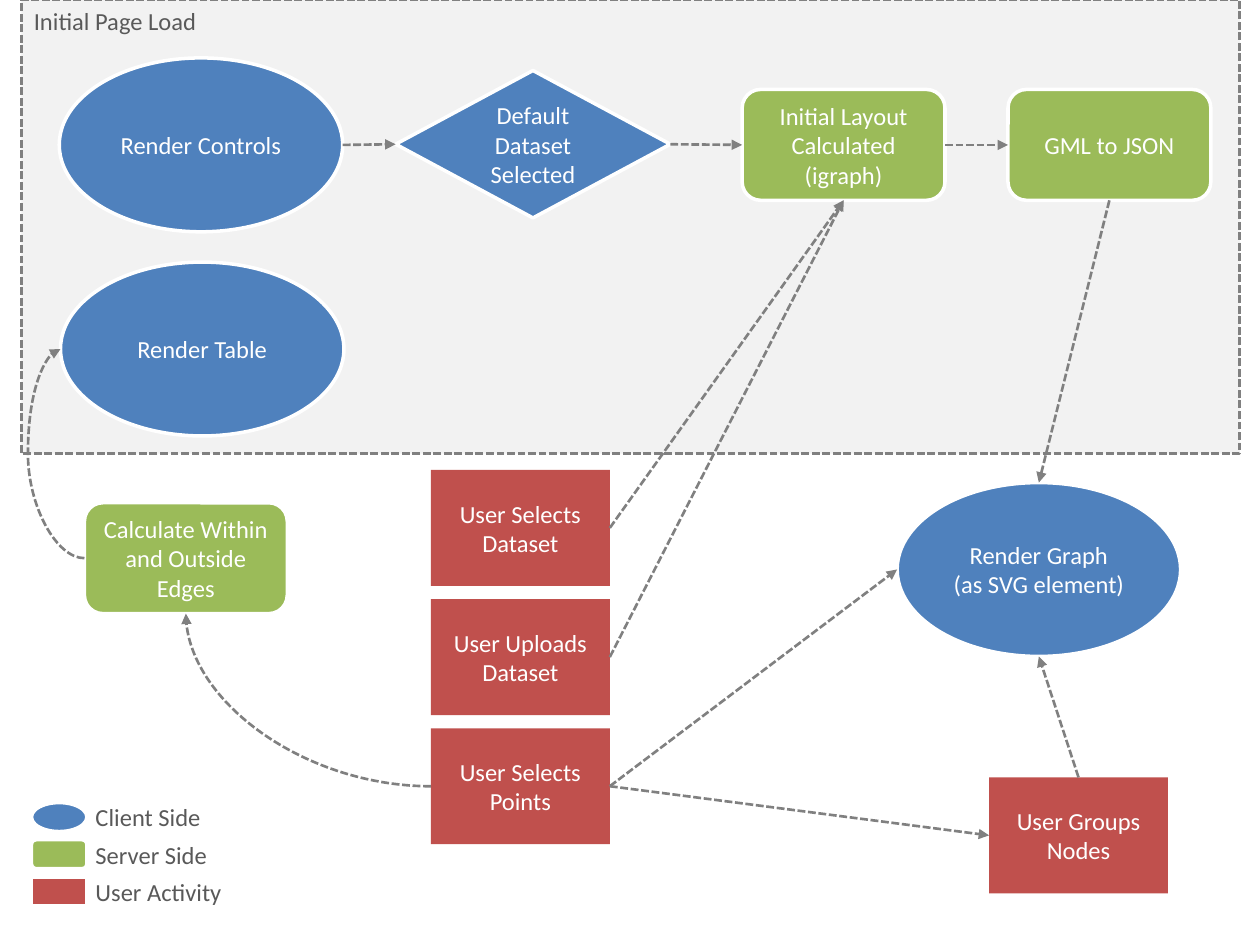
import lxml.etree
import pptx
import pptx.dml.color
import pptx.enum.dml
import pptx.enum.shapes
import pptx.enum.text
import pptx.oxml.ns
import pptx.util

Inches = pptx.util.Inches
Pt = pptx.util.Pt
qn = pptx.oxml.ns.qn
KIND = pptx.enum.shapes.MSO_SHAPE
JOIN = pptx.enum.shapes.MSO_CONNECTOR
ALIGN = pptx.enum.text.PP_ALIGN
ANCHOR = pptx.enum.text.MSO_ANCHOR
DASH = pptx.enum.dml.MSO_LINE.SQUARE_DOT

COLORS = {
    "client": "4F81BD", "server": "9BBB59", "user": "C0504D",
    "panel": "F2F2F2", "wire": "808080", "label": "595959", "white": "FFFFFF",
}
FONT = {"name": "Calibri", "size": Pt(14)}
OVAL, CARD, TASK = (2.25, 1.38), (1.61, 0.88), (1.42, 0.92)
TOP, LEFT, BOTTOM, RIGHT = range(4)


def tint(name):
    """Return the named colour."""
    return pptx.dml.color.RGBColor.from_string(COLORS[name])


def style(item, values):
    """Set attributes of an item from a dict."""
    for key, value in values.items():
        setattr(item, key, value)


def write(shape, text, color, align):
    """Put formatted text into a shape."""
    frame = shape.text_frame
    style(frame, {"text": text, "word_wrap": True})
    para = frame.paragraphs[0]
    para.alignment = align
    for run in para.runs:
        style(run.font, FONT)
        run.font.color.rgb = tint(color)


def draw(slide, kind, box, fill, edge=None, width=2):
    """Add a filled shape with an optional outline."""
    shape = slide.shapes.add_shape(kind, *map(Inches, box))
    shape.shadow.inherit = False
    shape.fill.solid()
    shape.fill.fore_color.rgb = tint(fill)
    if edge:
        shape.line.color.rgb = tint(edge)
        shape.line.width = Pt(width)
    else:
        shape.line.fill.background()
    return shape


def node(slide, kind, spot, size, fill, text):
    """Add a step of the flow with centred white text."""
    edge = None if fill == "user" else "white"
    shape = draw(slide, kind, (*spot, *size), fill, edge)
    write(shape, text, "white", ALIGN.CENTER)
    shape.text_frame.vertical_anchor = ANCHOR.MIDDLE
    return shape


def label(slide, box, text):
    """Add a grey caption."""
    write(slide.shapes.add_textbox(*map(Inches, box)), text, "label", ALIGN.LEFT)


def mid(shape, side):
    """Return the middle of one side of a shape."""
    x, y, w, h = shape.left, shape.top, shape.width, shape.height
    return [(x + w // 2, y), (x, y + h // 2),
            (x + w // 2, y + h), (x + w, y + h // 2)][side]


def wire(line, end="tailEnd"):
    """Give a connector its dashes and arrowhead."""
    line.line.color.rgb = tint("wire")
    style(line.line, {"width": Pt(1.5), "dash_style": DASH})
    props = line.element.spPr
    lxml.etree.SubElement(props.find(qn("a:ln")), qn("a:" + end), type="triangle")
    lxml.etree.SubElement(props, qn("a:effectLst"))


def link(slide, start, out, stop, into):
    """Join the sides of two steps with a straight arrow."""
    line = slide.shapes.add_connector(
        JOIN.STRAIGHT, *mid(start, out), *mid(stop, into))
    for shape, side, join in ((start, out, line.begin_connect),
                              (stop, into, line.end_connect)):
        if shape.auto_shape_type != KIND.OVAL:
            join(shape, side)
    wire(line)


def bend(slide, start, out, stop, into, form, adjust=None):
    """Join two steps with a curve that runs up and to the left."""
    line = slide.shapes.add_connector(
        JOIN.CURVE, *mid(stop, into), *mid(start, out))
    props = line.element.spPr
    props.find(qn("a:xfrm")).set("rot", "10800000")
    shape = props.find(qn("a:prstGeom"))
    shape.set("prst", form)
    if adjust:
        lxml.etree.SubElement(shape.find(qn("a:avLst")), qn("a:gd"),
                              name="adj1", fmla=f"val {adjust}")
    wire(line)


def load(slide, box):
    """Build the page load panel and return its steps."""
    x, y, w, h = box
    panel = draw(slide, KIND.RECTANGLE, box, "panel", "wire", 1.5)
    panel.line.dash_style = DASH
    label(slide, (x, y, 1.75, 0.34), "Initial Page Load")
    steps = {
        "controls": (KIND.OVAL, 0.3, 0.46, OVAL, "client", "Render Controls"),
        "table": (KIND.OVAL, 0.31, 2.08, OVAL, "client", "Render Table"),
        "default": (KIND.FLOWCHART_DECISION, 2.97, 0.56, (2.18, 1.17), "client",
                    "Default Dataset Selected"),
        "layout": (KIND.ROUNDED_RECTANGLE, 5.72, 0.71, CARD, "server",
                   "Initial Layout Calculated (igraph)"),
        "json": (KIND.ROUNDED_RECTANGLE, 7.83, 0.71, CARD, "server", "GML to JSON"),
    }
    made = {key: node(slide, kind, (x + dx, y + dy), *rest)
            for key, (kind, dx, dy, *rest) in steps.items()}
    chain = [made[key] for key in ("controls", "default", "layout", "json")]
    for start, stop in zip(chain, chain[1:]):
        link(slide, start, RIGHT, stop, LEFT)
    return made


def tasks(slide, box):
    """Stack the user actions evenly in a box."""
    x, y, w, h = box
    names = ["User Selects Dataset", "User Uploads Dataset", "User Selects Points"]
    step = (h - TASK[1]) / (len(names) - 1)
    return [node(slide, KIND.RECTANGLE, (x, y + i * step), (w, TASK[1]), "user", name)
            for i, name in enumerate(names)]


def legend(slide, box):
    """List the colour key in a box."""
    x, y, w, h = box
    rows = [(KIND.OVAL, "client", "Client Side"),
            (KIND.FLOWCHART_ALTERNATE_PROCESS, "server", "Server Side"),
            (KIND.RECTANGLE, "user", "User Activity")]
    for i, (kind, fill, text) in enumerate(rows):
        top = y + i * h / len(rows)
        draw(slide, kind, (x, top, 0.44, 0.23), fill, "white")
        label(slide, (x + 0.41, top - 0.05, w - 0.41, 0.34), text)


def main():
    """Build and save the slide."""
    deck = pptx.Presentation()
    style(deck, {"slide_width": Inches(10), "slide_height": Inches(7.5)})
    slide = deck.slides.add_slide(deck.slide_layouts[6])
    page = load(slide, (0.17, 0, 9.67, 3.6))
    pick, send, points = tasks(slide, (3.42, 3.73, 1.42, 2.97))
    graph = node(slide, KIND.OVAL, (7.12, 3.83), OVAL, "client",
                 "Render Graph\v(as SVG element)")
    group = node(slide, KIND.RECTANGLE, (7.85, 6.17), TASK, "user", "User Groups Nodes")
    edges = node(slide, KIND.ROUNDED_RECTANGLE, (0.67, 3.99), CARD, "server",
                 "Calculate Within and Outside Edges")
    for ends in ((pick, RIGHT, page["layout"], BOTTOM),
                 (send, RIGHT, page["layout"], BOTTOM),
                 (page["json"], BOTTOM, graph, TOP),
                 (points, RIGHT, graph, LEFT),
                 (points, RIGHT, group, LEFT),
                 (group, TOP, graph, BOTTOM)):
        link(slide, *ends)
    bend(slide, points, LEFT, edges, BOTTOM, "curvedConnector2")
    bend(slide, edges, LEFT, page["table"], LEFT, "curvedConnector3", 235900)
    legend(slide, (0.25, 6.37, 1.81, 0.885))
    deck.save("out.pptx")


if __name__ == "__main__":
    main()
